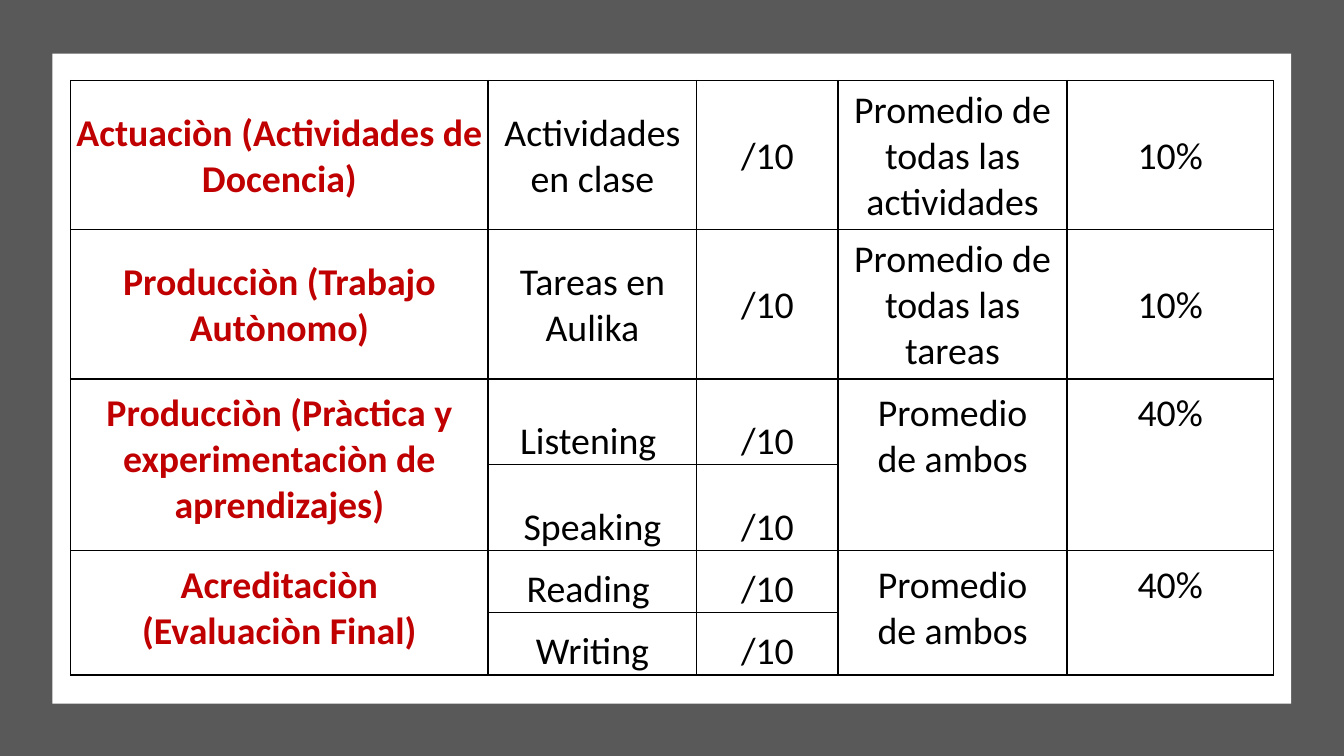
from lxml.etree import SubElement
from pptx import Presentation
from pptx.dml.color import RGBColor
from pptx.enum.shapes import MSO_SHAPE
from pptx.enum.text import MSO_ANCHOR, PP_ALIGN
from pptx.oxml.ns import qn
from pptx.util import Cm, Pt

WIDE, HIGH = 33.87, 19.05
COLS = [10.52, 5.26, 3.56, 5.77, 5.2]
ROWS = [3.76, 3.76, 2.16, 2.16, 1.57, 1.57]
SINGLE = [
    ["Actuaciòn (Actividades de Docencia)", "Actividades en clase", "/10",
     "Promedio de todas las actividades", "10%"],
    ["Producciòn (Trabajo Autònomo)", "Tareas en Aulika", "/10",
     "Promedio de todas las tareas", "10%"],
]
PAIRS = [
    ("Producciòn (Pràctica y experimentaciòn de aprendizajes)", ["Listening ", "Speaking"]),
    ("Acreditaciòn (Evaluaciòn Final)", ["Reading ", "Writing"]),
]


def color(code):
    return RGBColor.from_string(code)


def add_panel(slide, left, top, width, height, code):
    panel = slide.shapes.add_shape(
        MSO_SHAPE.RECTANGLE, Cm(left), Cm(top), Cm(width), Cm(height))
    panel.shadow.inherit = False
    panel.fill.solid()
    panel.fill.fore_color.rgb = color(code)
    panel.line.fill.background()


def set_border(cell, side, points):
    props = cell._tc.get_or_add_tcPr()
    line = SubElement(props, qn(f"a:ln{side}"), w=str(Pt(points)))
    fill = SubElement(line, qn("a:solidFill"))
    SubElement(fill, qn("a:srgbClr"), val="000000")


def style_cell(cell, thin):
    for side in "LRTB":
        set_border(cell, side, 0.5 if side == thin else 1)
    cell.fill.background()


def set_text(cell, text, anchor, head=False):
    tall = anchor == MSO_ANCHOR.TOP
    cell.margin_left = cell.margin_right = Cm(0.64 if tall else 0.08)
    cell.margin_top = Cm(0.3 if tall else 0.08)
    cell.margin_bottom = Cm(0.3 if tall else 0)
    cell.vertical_anchor = anchor
    cell.text = text
    para = cell.text_frame.paragraphs[0]
    para.alignment = PP_ALIGN.CENTER
    para.font.name = "Calibri"
    para.font.size = Pt(27)
    para.font.bold = head
    para.font.color.rgb = color("C00000" if head else "000000")


def add_grid(slide):
    frame = slide.shapes.add_table(
        len(ROWS), len(COLS), Cm(1.78), Cm(2.03), Cm(sum(COLS)), Cm(sum(ROWS)))
    table = frame.table
    table.first_row = table.horz_banding = False
    for col, width in zip(table.columns, COLS):
        col.width = Cm(width)
    for row, height in zip(table.rows, ROWS):
        row.height = Cm(height)
    for r in range(len(ROWS)):
        for c in range(len(COLS)):
            inner = r >= len(SINGLE) and c == 1
            thin = ("T" if r % 2 else "B") if inner else None
            style_cell(table.cell(r, c), thin)
    return table


def fill_single(table):
    for r, texts in enumerate(SINGLE):
        for c, text in enumerate(texts):
            set_text(table.cell(r, c), text, MSO_ANCHOR.MIDDLE, c == 0)


def fill_pairs(table):
    for i, (title, skills) in enumerate(PAIRS):
        top = len(SINGLE) + 2 * i
        for c, text in ((0, title), (3, "Promedio de ambos"), (4, "40%")):
            cell = table.cell(top, c)
            cell.merge(table.cell(top + 1, c))
            set_text(cell, text, MSO_ANCHOR.TOP, c == 0)
        for r, skill in enumerate(skills, top):
            set_text(table.cell(r, 1), skill, MSO_ANCHOR.BOTTOM)
            set_text(table.cell(r, 2), "/10", MSO_ANCHOR.BOTTOM)


def main():
    deck = Presentation()
    deck.slide_width, deck.slide_height = Cm(WIDE), Cm(HIGH)
    slide = deck.slides.add_slide(deck.slide_layouts[6])
    add_panel(slide, 0, 0, WIDE, HIGH, "595959")
    add_panel(slide, 1.32, 1.35, 31.22, 16.38, "FFFFFF")
    table = add_grid(slide)
    fill_single(table)
    fill_pairs(table)
    deck.save("out.pptx")


if __name__ == "__main__":
    main()
